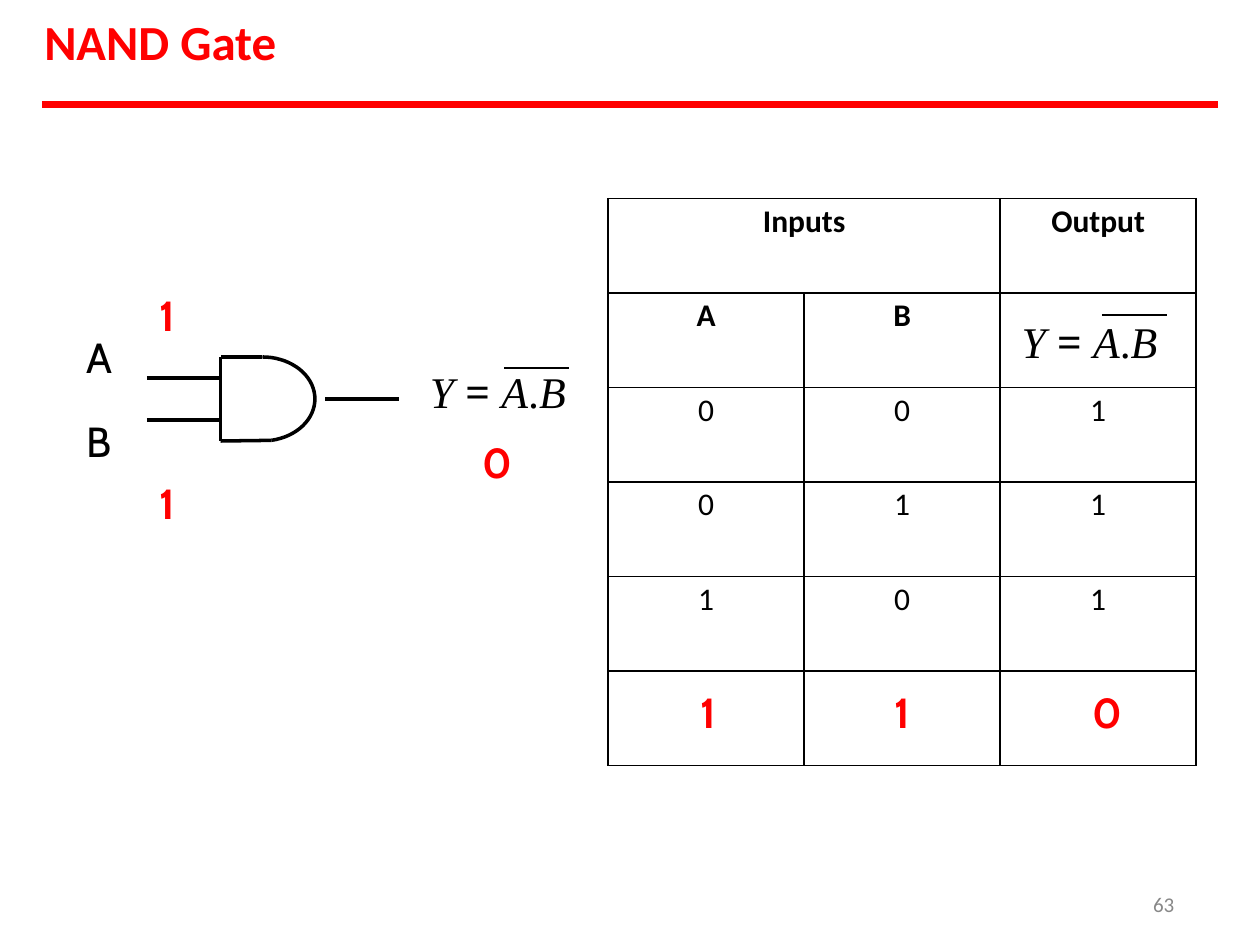
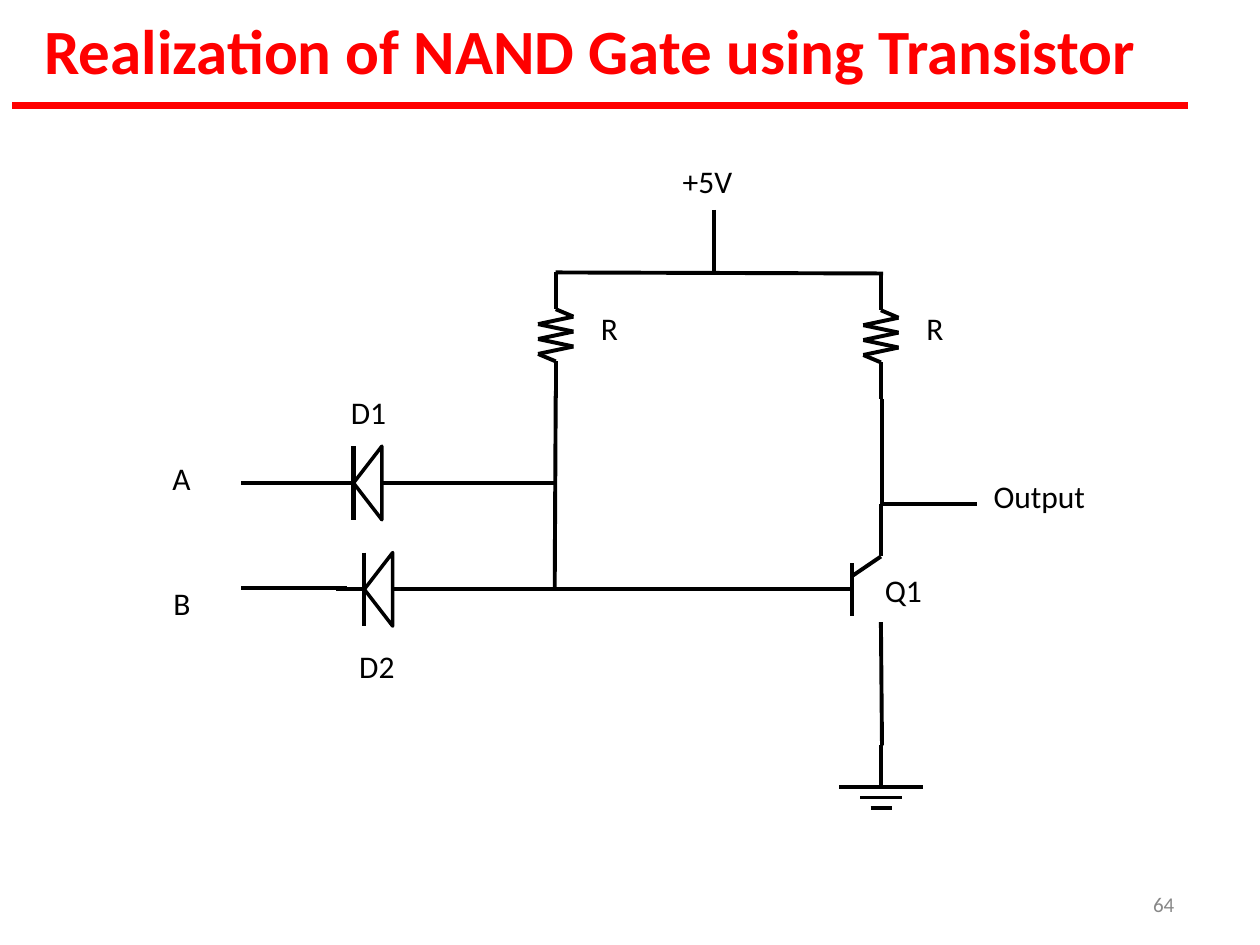
from dataclasses import dataclass
from itertools import pairwise
from math import cos, radians, sin

from lxml.etree import SubElement
from pptx import Presentation
from pptx.dml.color import RGBColor
from pptx.enum.shapes import MSO_CONNECTOR
from pptx.enum.text import MSO_ANCHOR, PP_ALIGN
from pptx.oxml.ns import qn
from pptx.util import Inches, Pt


@dataclass(frozen=True)
class Theme:
    ink: str = "000000"
    accent: str = "FF0000"
    muted: str = "888888"
    body_font: str = "Calibri"
    label_font: str = "Cabin"
    formula_font: str = "Times New Roman"
    symbol_font: str = "Noto Sans"
    footer_size: int = 12
    body_size: int = 18
    label_size: int = 24
    formula_size: int = 25
    wire: float = 2.25
    gate_line: float = 2
    bar: float = 2.5
    overline: float = 1.21
    rule: float = 4
    border: float = 1


THEME = Theme()
COLUMNS = 120
TITLE_ONLY = 5
BODY = dict(size=THEME.body_size, font=THEME.body_font)
LABEL = dict(size=THEME.label_size, font=THEME.label_font)
SIGNAL = dict(LABEL, color=THEME.accent, bold=True)


def write(paragraph, text, size=THEME.body_size, font=THEME.body_font,
          color=THEME.ink, bold=False, italic=False):
    run = paragraph.add_run()
    run.text = text
    run.font.size = Pt(size)
    run.font.name = font
    run.font.color.rgb = RGBColor.from_string(color)
    run.font.bold = bold
    run.font.italic = italic


def write_formula(paragraph):
    for text, italic in (("Y ", True), ("= ", False), ("A", True), (".", False), ("B", True)):
        font = THEME.symbol_font if text == "= " else THEME.formula_font
        write(paragraph, text, size=THEME.formula_size, font=font, italic=italic)


class Deck:
    def __init__(self):
        self.presentation = Presentation()
        self.presentation.slide_width = Inches(10)
        self.presentation.slide_height = Inches(7.5)
        self.unit = self.presentation.slide_width / COLUMNS
        self.slide = None

    def grid(self, *lengths):
        return [round(length * self.unit) for length in lengths]

    def add_slide(self, title, title_size, title_box, rule, number):
        layout = self.presentation.slide_layouts[TITLE_ONLY]
        self.slide = self.presentation.slides.add_slide(layout)
        placeholder = self.slide.shapes.title
        placeholder.left, placeholder.top, placeholder.width, placeholder.height = self.grid(*title_box)
        frame = self.plain_frame(placeholder)
        frame.paragraphs[0].alignment = PP_ALIGN.LEFT
        write(frame.paragraphs[0], title, size=title_size, color=THEME.accent, bold=True)
        left, right, row = rule
        self.line(left, row, right, row, THEME.rule, THEME.accent)
        self.label(109.7, 84.8, str(number), size=THEME.footer_size, color=THEME.muted)

    def plain_frame(self, shape):
        frame = shape.text_frame
        frame.word_wrap = True
        frame.vertical_anchor = MSO_ANCHOR.TOP
        frame.margin_right = frame.margin_bottom = 0
        frame.margin_left = frame.margin_top = Inches(0.01)
        return frame

    def text_box(self, column, row, width, height):
        return self.plain_frame(self.slide.shapes.add_textbox(*self.grid(column, row, width, height)))

    def label(self, column, row, text, height=4, **style):
        frame = self.text_box(column, row, 2 + 2 * len(text), height)
        write(frame.paragraphs[0], text, **style)
        return frame

    def line(self, x1, y1, x2, y2, weight=THEME.wire, color=THEME.ink):
        connector = self.slide.shapes.add_connector(MSO_CONNECTOR.STRAIGHT, *self.grid(x1, y1, x2, y2))
        connector.line.width = Pt(weight)
        connector.line.color.rgb = RGBColor.from_string(color)
        SubElement(connector._element.spPr, qn("a:effectLst"))

    def wires(self, points, weight=THEME.wire):
        for start, end in pairwise(points):
            self.line(*start, *end, weight)

    def outline(self, points, close=False):
        start, *others = [self.grid(*point) for point in points]
        builder = self.slide.shapes.build_freeform(*start)
        builder.add_line_segments(others, close=close)
        shape = builder.convert_to_shape()
        shape.shadow.inherit = False
        shape.fill.background()
        shape.line.width = Pt(THEME.gate_line)
        shape.line.color.rgb = RGBColor.from_string(THEME.ink)

    def gate_body(self, column, row, straight=4, radius_x=5, radius_y=4):
        bend = column + straight
        middle = row + radius_y
        arc = [(bend + radius_x * cos(radians(angle)), middle + radius_y * sin(radians(angle)))
               for angle in range(-90, 81, 5)]
        self.wires([(bend, row), (column, row), (column, row + 2 * radius_y), arc[-1]],
                   THEME.gate_line)
        self.outline(arc)

    def resistor(self, column, row, lead=3.5, step=0.71, swing=1.68):
        teeth = [(column + (swing if index % 2 else -swing), row + lead + index * step)
                 for index in range(1, 7)]
        end = row + lead + 7 * step
        self.wires([(column, row), (column, row + lead), *teeth,
                    (column, end), (column, end + lead)])

    def diode(self, column, row, size=2.7, half=3.5):
        base = column + size
        self.line(column, row - half, column, row + half, THEME.bar)
        self.outline([(base, row + half), (column, row), (base, row - half)], close=True)
        self.line(column - size, row, column, row)
        self.line(base, row, base + size, row)

    def ground(self, column, row):
        for index, half in enumerate((4, 2, 1)):
            self.line(column - half, row + index, column + half, row + index)

    def truth_table(self, column, row, width, height, rows):
        frame = self.slide.shapes.add_table(
            len(rows), len(rows[0]), *self.grid(column, row, width, height))
        table = frame.table
        table.first_row = table.horz_banding = False
        for row_index, values in enumerate(rows):
            for column_index, value in enumerate(values):
                cell = table.cell(row_index, column_index)
                self.frame_cell(cell)
                paragraph = cell.text_frame.paragraphs[0]
                paragraph.alignment = PP_ALIGN.CENTER
                if value == "formula":
                    cell.margin_top = Inches(0.15)
                    cell.margin_left = Inches(0.17)
                    paragraph.alignment = PP_ALIGN.LEFT
                    write_formula(paragraph)
                elif row_index == len(rows) - 1:
                    cell.margin_top = Inches(0.13)
                    cell.margin_left = Inches((0.03, 0, 0.14)[column_index])
                    write(paragraph, value, **SIGNAL)
                elif value:
                    write(paragraph, value, bold=row_index < 2, **BODY)
        table.cell(0, 0).merge(table.cell(0, 1))

    def frame_cell(self, cell):
        cell.margin_left = cell.margin_right = cell.margin_bottom = 0
        cell.margin_top = Inches(0.03)
        properties = cell._tc.get_or_add_tcPr()
        for side in ("a:lnL", "a:lnR", "a:lnT", "a:lnB"):
            border = SubElement(properties, qn(side), w=str(Pt(THEME.border)))
            SubElement(SubElement(border, qn("a:solidFill")), qn("a:srgbClr"), val=THEME.ink)
        cell.fill.background()


def build_gate_slide(deck):
    deck.add_slide("NAND Gate", 28, (4.1, 1, 40, 6), (4, 116, 10), 63)
    inputs = deck.label(8.1, 31.45, "A", height=13.2, **LABEL)
    second = inputs.add_paragraph()
    second.space_before = Pt(19.2)
    write(second, "B", **LABEL)
    for row in (27.45, 45.4):
        deck.label(15.1, row, "1", **SIGNAL)

    deck.gate_body(21, 34)
    for left, right, row in ((14, 21, 36), (14, 21, 40), (31, 38, 38)):
        deck.line(left, row, right, row, THEME.gate_line)

    output = deck.text_box(40.2, 32.6, 14.3, 14)
    output.margin_top = Inches(0.18)
    write_formula(output.paragraphs[0])
    level = output.add_paragraph()
    level.space_before = Pt(10.8)
    write(level, "0", **SIGNAL)
    for paragraph in output.paragraphs:
        paragraph.alignment = PP_ALIGN.CENTER

    deck.truth_table(57.92, 18.92, 56, 54, [
        ("Inputs", "", "Output"),
        ("A", "B", "formula"),
        ("0", "0", "1"),
        ("0", "1", "1"),
        ("1", "0", "1"),
        ("1", "1", "0"),
    ])
    for column, row in ((48, 35.04), (104.95, 30)):
        deck.line(column, row, column + 6.2, row, THEME.overline)


def build_circuit_slide(deck):
    deck.add_slide("Realization of NAND Gate using Transistor", 36,
                   (4.1, 1, 112, 7.4), (1.15, 113.15, 10.03), 64)
    supply, left_branch, right_branch, base = 25.95, 52.93, 83.9, 81.1
    input_a, input_b, collector = 46, 56.13, 48

    deck.line(68, 20, 68, supply)
    deck.line(left_branch, supply, right_branch + 0.2, supply + 0.1)
    deck.resistor(left_branch, supply)
    deck.resistor(right_branch, supply + 0.1)
    deck.line(left_branch, 37.2, left_branch - 0.1, input_b)
    deck.line(right_branch + 0.1, 38, right_branch + 0.1, collector)

    deck.diode(33.67, input_a)
    deck.diode(34.7, input_b)
    for row in (input_a, 56):
        deck.line(23, row, 33, row)
    deck.line(39, input_a, left_branch, input_a)
    deck.line(39, input_b, 76.3, input_b)
    deck.line(75, input_b, base, input_b)

    deck.line(base, input_b - 2.5, base, input_b + 2.5)
    deck.wires([(base, 54.9), (right_branch, 53), (right_branch, collector), (93, collector)])
    deck.wires([(right_branch, 59.25), (right_branch + 0.1, 71)])
    deck.line(right_branch, 71, right_branch, 74.95)
    deck.ground(right_branch + 0.03, 74.95)

    for column, row, text in (
        (64.9, 15.3, "+5V"), (57.1, 29.3, "R"), (88.1, 29.3, "R"),
        (94.5, 45.3, "Output"), (16.3, 43.6, "A"), (16.4, 55.5, "B"),
        (33.3, 37.3, "D1"), (34.1, 61.5, "D2"), (84.15, 54.3, "Q1"),
    ):
        deck.label(column, row, text, **BODY)


deck = Deck()
build_gate_slide(deck)
build_circuit_slide(deck)
deck.presentation.save("out.pptx")
